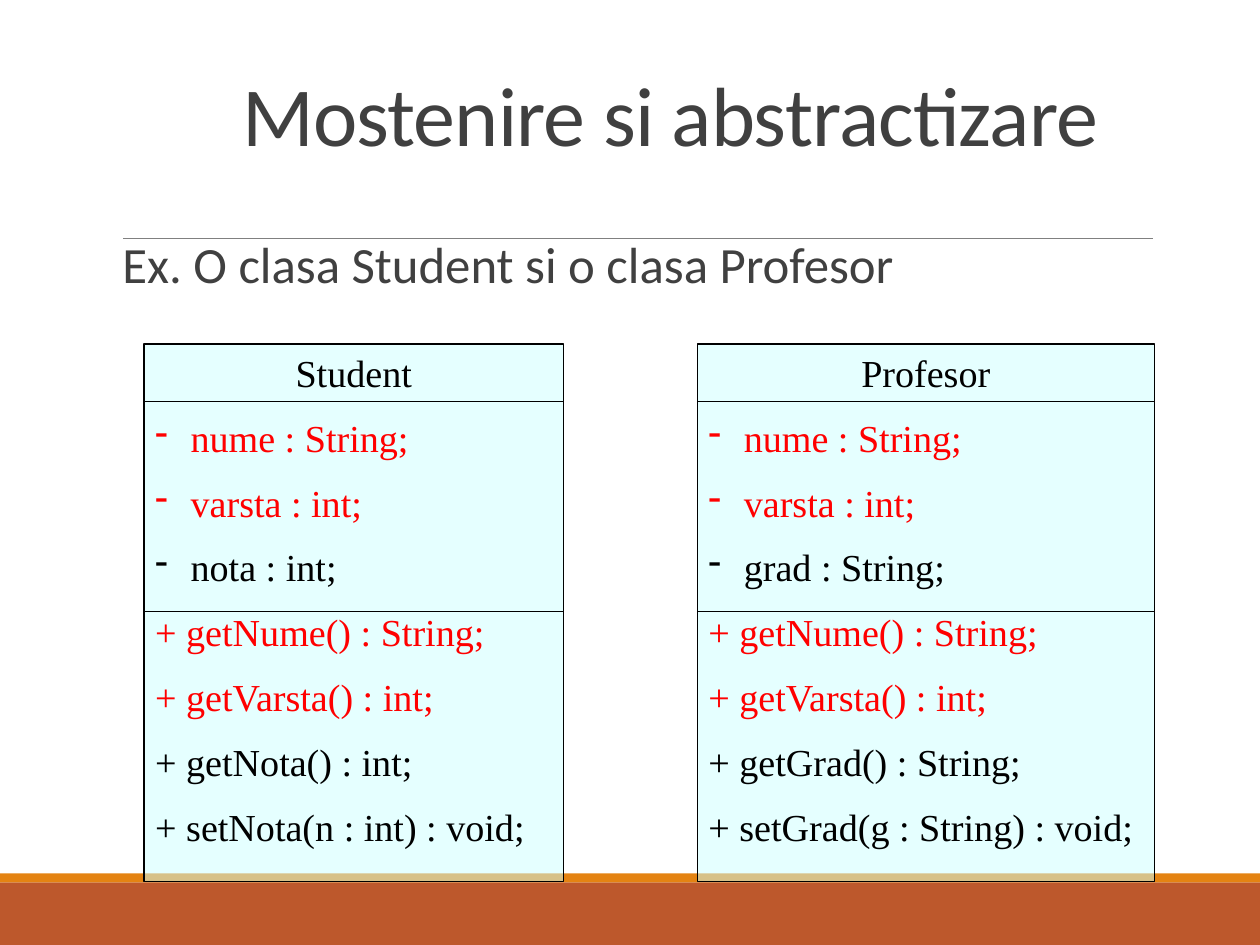
"""Build the slide on inheritance and abstraction with two class diagrams."""
from dataclasses import dataclass

from lxml import etree
from pptx import Presentation
from pptx.dml.color import RGBColor
from pptx.enum.shapes import MSO_CONNECTOR, MSO_SHAPE
from pptx.enum.text import MSO_ANCHOR, PP_ALIGN
from pptx.oxml.ns import qn
from pptx.util import Inches, Pt


@dataclass(frozen=True)
class Theme:
    heading_font: str = "Calibri"
    class_font: str = "Times New Roman"
    title_size: float = 52.9
    body_size: float = 32
    class_size: float = 24
    text: RGBColor = RGBColor(0x40, 0x40, 0x40)
    ink: RGBColor = RGBColor(0, 0, 0)
    shared: RGBColor = RGBColor(0xFF, 0, 0)
    class_fill: RGBColor = RGBColor(0xCC, 0xFF, 0xFF)
    rule: RGBColor = RGBColor(0x80, 0x80, 0x80)
    footer: RGBColor = RGBColor(0xBD, 0x58, 0x2C)
    stripe: RGBColor = RGBColor(0xE4, 0x83, 0x12)


theme = Theme()
deck = Presentation()
deck.slide_width, deck.slide_height = Inches(28 / 2.54), Inches(21 / 2.54)
page = deck.slides.add_slide(deck.slide_layouts[6])


def add_rectangle(left, top, width, height, color):
    box = page.shapes.add_shape(
        MSO_SHAPE.RECTANGLE, Inches(left), Inches(top), Inches(width), Inches(height)
    )
    box.shadow.inherit = False
    box.fill.solid()
    box.fill.fore_color.rgb = color
    box.line.fill.background()
    return box


def add_rule(left, right, y, color, weight):
    rule = page.shapes.add_connector(
        MSO_CONNECTOR.STRAIGHT, Inches(left), Inches(y), Inches(right), Inches(y)
    )
    rule.line.color.rgb = color
    rule.line.width = Pt(weight)
    etree.SubElement(rule._element.spPr, qn("a:effectLst"))


slide_width = deck.slide_width.inches
add_rectangle(0, 7.72, slide_width, 0.55, theme.footer)
add_rectangle(0, 7.64, slide_width, 0.08, theme.stripe)
add_rule(1.08, 10.09, 2.09, theme.rule, 0.5)

headings = [
    ("Mostenire si abstractizare", 2.02, 0.35, 8.07, 1.13,
     theme.title_size, 0.85, MSO_ANCHOR.BOTTOM, 0.1, -53),
    ("Ex. O clasa Student si o clasa Profesor", 1.07, 2.05, 9.25, 0.62,
     theme.body_size, 0.9, MSO_ANCHOR.TOP, 0, 0),
]
for text, left, top, width, height, size, spacing, anchor, inset, tracking in headings:
    box = page.shapes.add_textbox(Inches(left), Inches(top), Inches(width), Inches(height))
    frame = box.text_frame
    frame.word_wrap = True
    frame.vertical_anchor = anchor
    frame.margin_left = frame.margin_right = Inches(inset)
    para = frame.paragraphs[0]
    para.line_spacing = spacing
    span = para.add_run()
    span.text = text
    span.font._element.set("spc", str(tracking))
    para.font.name = theme.heading_font
    para.font.size = Pt(size)
    para.font.color.rgb = theme.text

shared_members = {
    "nume : String;", "varsta : int;", "+ getNume() : String;", "+ getVarsta() : int;",
}
classes = [
    ("Student", 1.26, 3.67, "nota : int;",
     ["+ getNota() : int;", "+ setNota(n : int) : void;"]),
    ("Profesor", 6.1, 4, "grad : String;",
     ["+ getGrad() : String;", "+ setGrad(g : String) : void;"]),
]
for name, left, width, own_field, own_methods in classes:
    box = add_rectangle(left, 3.01, width, 4.7, theme.class_fill)
    fill_color = box._element.spPr.find(qn("a:solidFill"))[0]
    etree.SubElement(fill_color, qn("a:alpha"), val="50000")
    box.line.color.rgb = theme.ink
    box.line.width = Pt(0.75)
    frame = box.text_frame
    frame.word_wrap = True
    frame.vertical_anchor = MSO_ANCHOR.TOP
    fields = ["nume : String;", "varsta : int;", own_field]
    methods = ["+ getNume() : String;", "+ getVarsta() : int;", *own_methods]
    for index, text in enumerate([name, *fields, *methods]):
        para = frame.paragraphs[0] if index == 0 else frame.add_paragraph()
        para.text = text
        para.alignment = PP_ALIGN.LEFT if index else PP_ALIGN.CENTER
        if index:
            para.space_before = Pt(12)
        if text in fields:
            properties = para._p.get_or_add_pPr()
            properties.set("marL", str(Inches(0.31)))
            properties.set("indent", str(-Inches(0.31)))
            etree.SubElement(properties, qn("a:buChar"), char="-")
        para.font.name = theme.class_font
        para.font.size = Pt(theme.class_size)
        para.font.color.rgb = theme.shared if text in shared_members else theme.ink
    for y in (3.51, 5.35):
        add_rule(left, left + width, y, theme.ink, 0.75)

deck.save("out.pptx")
